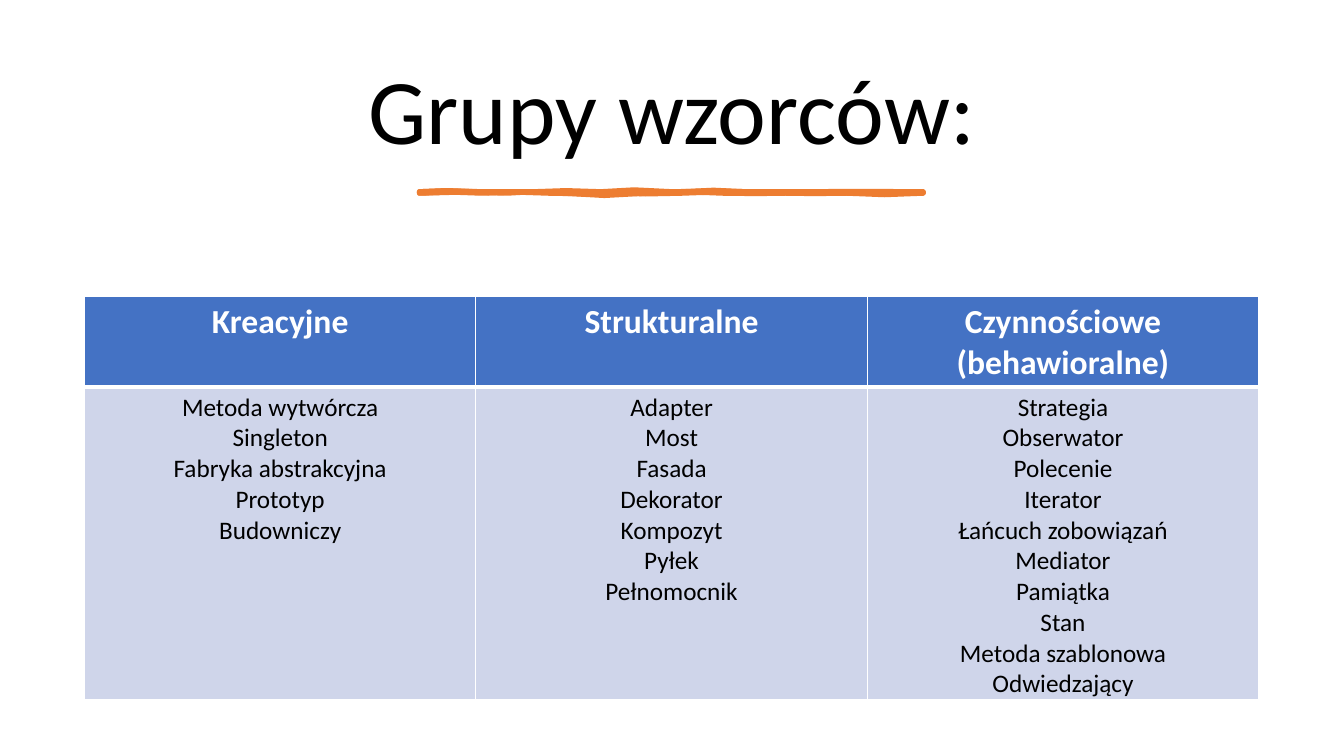
from lxml.etree import SubElement
from pptx import Presentation
from pptx.dml.color import RGBColor
from pptx.enum.text import MSO_ANCHOR, PP_ALIGN
from pptx.oxml.ns import qn
from pptx.util import Pt

BLACK = RGBColor(0x00, 0x00, 0x00)
WHITE = RGBColor(0xFF, 0xFF, 0xFF)
ORANGE = RGBColor(0xED, 0x7D, 0x31)
BLUE = RGBColor(0x44, 0x72, 0xC4)
PALE_BLUE = RGBColor(0xCF, 0xD5, 0xEA)

GRID = 0.72  # points per unit of the stroke coordinates
CURVE_STEPS = 2

# Start point, then two control points and an end point for each curve
STROKE_EDGE = [
    (416, 190), (428, 187), (454, 190), (473, 190), (492, 189), (509, 191), (529, 190),
    (549, 189), (574, 188), (596, 190), (617, 192), (653, 192), (677, 190),
    (702, 188), (714, 188), (739, 190), (763, 191), (774, 193), (800, 190),
    (826, 187), (867, 192), (916, 190), (917, 191), (916, 191), (916, 192),
    (895, 190), (865, 188), (840, 192), (815, 195), (801, 190), (779, 192),
    (756, 193), (747, 192), (717, 192), (687, 192), (667, 188), (641, 192),
    (614, 195), (585, 195), (559, 192), (534, 188), (523, 192), (503, 192),
    (483, 191), (438, 190), (416, 192),
]
STROKE_BODY = [
    (416, 190), (432, 189), (452, 188), (478, 190), (503, 191), (508, 192), (534, 190),
    (560, 188), (574, 192), (596, 190), (618, 187), (639, 188), (667, 190),
    (695, 191), (724, 187), (744, 190), (763, 192), (802, 188), (825, 190),
    (848, 191), (872, 193), (916, 190), (916, 190), (916, 191), (916, 192),
    (879, 194), (876, 194), (840, 192), (804, 189), (796, 191), (759, 192),
    (721, 192), (716, 188), (677, 192), (639, 196), (637, 190), (621, 192),
    (604, 193), (572, 193), (544, 192), (517, 190), (504, 191), (478, 192),
    (452, 192), (441, 189), (416, 192),
]

PATTERN_GROUPS = {
    "Kreacyjne": [
        "Metoda wytwórcza", "Singleton", "Fabryka abstrakcyjna", "Prototyp", "Budowniczy",
    ],
    "Strukturalne": [
        "Adapter", "Most", "Fasada", "Dekorator", "Kompozyt", "Pyłek", "Pełnomocnik",
    ],
    "Czynnościowe (behawioralne)": [
        "Strategia", "Obserwator", "Polecenie", "Iterator", "Łańcuch zobowiązań",
        "Mediator", "Pamiątka", "Stan", "Metoda szablonowa", "Odwiedzający",
    ],
}


def add_centred_lines(frame, lines, size, color, bold=False):
    for index, line in enumerate(lines):
        paragraph = frame.paragraphs[0] if index == 0 else frame.add_paragraph()
        paragraph.alignment = PP_ALIGN.CENTER
        run = paragraph.add_run()
        run.text = line
        run.font.name = "Calibri"
        run.font.size = Pt(size)
        run.font.bold = bold
        run.font.color.rgb = color


def curve_points(controls):
    """Return points along a chain of cubic Bézier curves, after its start."""
    points = []
    for first in range(0, len(controls) - 1, 3):
        curve = controls[first:first + 4]
        for step in range(1, CURVE_STEPS + 1):
            t = step / CURVE_STEPS
            weights = ((1 - t) ** 3, 3 * t * (1 - t) ** 2, 3 * t ** 2 * (1 - t), t ** 3)
            points.append(tuple(
                Pt(GRID * sum(w * point[axis] for w, point in zip(weights, curve)))
                for axis in (0, 1)
            ))
    return points


prs = Presentation()
prs.slide_width, prs.slide_height = Pt(960), Pt(540)
slide = prs.slides.add_slide(prs.slide_layouts[6])

# Title
title = slide.shapes.add_textbox(Pt(50.4), Pt(32.7), Pt(859), Pt(98.6)).text_frame
title.word_wrap = True
title.vertical_anchor = MSO_ANCHOR.MIDDLE
add_centred_lines(title, ["Grupy wzorców:"], 66, BLACK)
title.paragraphs[0].line_spacing = 0.9

# Hand-drawn underline
start_x, start_y = (Pt(GRID * value) for value in STROKE_EDGE[0])
stroke = slide.shapes.build_freeform(start_x, start_y)
stroke.add_line_segments(curve_points(STROKE_EDGE), close=True)
stroke.move_to(start_x, start_y)
stroke.add_line_segments(curve_points(STROKE_BODY), close=True)
underline = stroke.convert_to_shape()
underline.shadow.inherit = False
underline.fill.solid()
underline.fill.fore_color.rgb = ORANGE
underline.line.color.rgb = ORANGE
underline.line.width = Pt(3.25)

# Table of pattern groups; the rows grow with their text
groups_frame = slide.shapes.add_table(
    2, len(PATTERN_GROUPS), Pt(60.35), Pt(211.7), Pt(838.8), Pt(288))
groups = groups_frame.table
for row in groups.rows:
    row.height = Pt(29.2)
groups_frame.height = Pt(288)
for column, (group, patterns) in enumerate(PATTERN_GROUPS.items()):
    groups.columns[column].width = Pt(279.6)
    header, body = groups.cell(0, column), groups.cell(1, column)
    add_centred_lines(header.text_frame, [group], 24, WHITE, bold=True)
    add_centred_lines(body.text_frame, patterns, 18, BLACK)
    for cell, fill, bottom in ((header, BLUE, 3), (body, PALE_BLUE, 1)):
        properties = cell._tc.get_or_add_tcPr()
        for side, width in (("lnL", 1), ("lnR", 1), ("lnT", 1), ("lnB", bottom)):
            border = SubElement(properties, qn(f"a:{side}"), w=str(Pt(width)))
            paint = SubElement(border, qn("a:solidFill"))
            SubElement(paint, qn("a:srgbClr"), val=str(WHITE))
        cell.fill.solid()
        cell.fill.fore_color.rgb = fill

prs.save("out.pptx")
